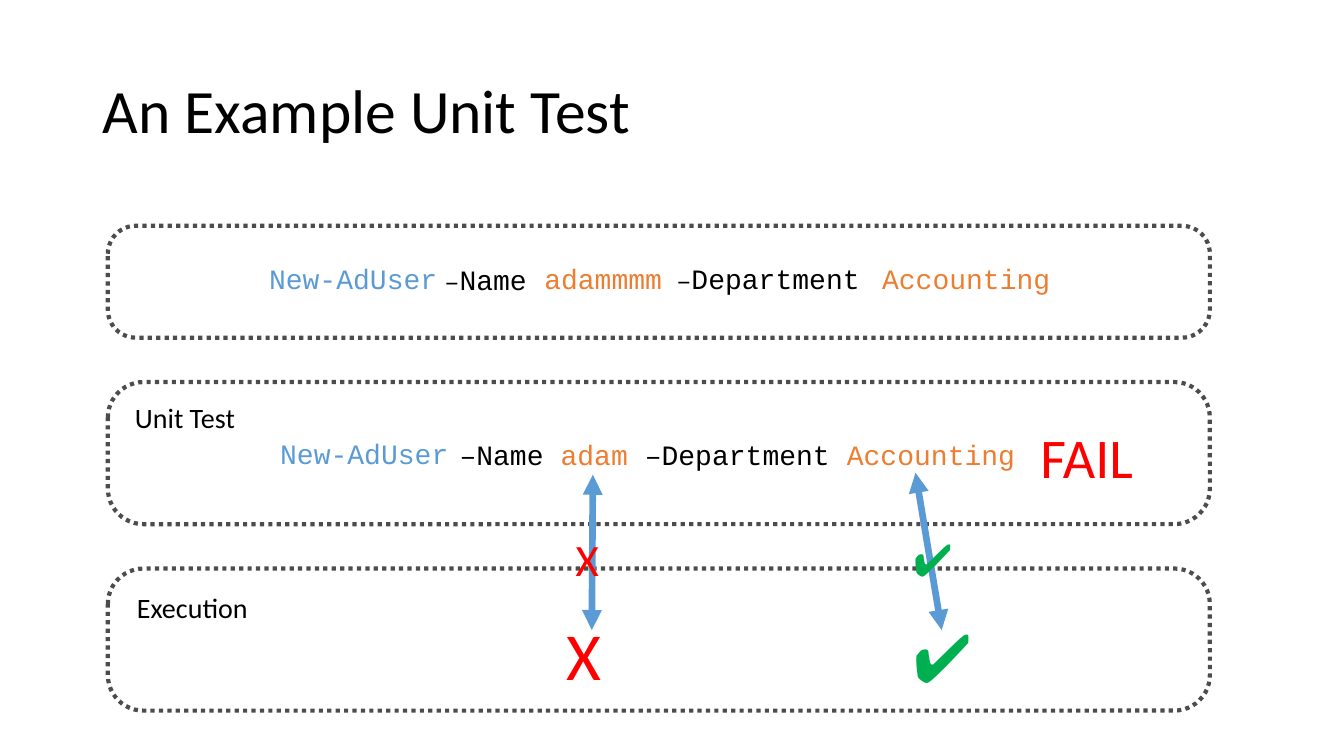
from lxml import etree
from pptx import Presentation
from pptx.dml.color import RGBColor
from pptx.enum.dml import MSO_LINE_DASH_STYLE as Dash
from pptx.enum.shapes import MSO_CONNECTOR as Connector, MSO_SHAPE as Shape
from pptx.enum.text import MSO_ANCHOR as Anchor, MSO_AUTO_SIZE as AutoSize, PP_ALIGN as Align
from pptx.oxml.ns import qn
from pptx.util import Pt

PX = 9144
BODY, CODE = "Calibri", "Courier New"
BLACK, RED, GREEN, BLUE, ORANGE = "000000", "FF0000", "00B050", "5B9BD5", "ED7D31"

TITLE = ("An Example Unit Test", (92, 40, 1150, 145))
FRAME_LEFT, FRAME_WIDTH = 107, 1093
FRAMES = [(224, 111), (564, 141), (379, 141)]
ARROWS = [((588, 471), (587, 625)), ((908, 469), (934, 625))]

# Each label: box, font name, runs of (text, size, colour)
LABELS = [
    ((126, 581, 160, 44), BODY, [("Execution", 20, BLACK)]),
    ((1022, 414, 149, 77), BODY, [("FAIL", 40, RED)]),
    ((896, 606, 88, 91), BODY, [("✔", 48, GREEN)]),
    ((552, 604, 69, 91), BODY, [("X", 48, RED)]),
    ((124, 392, 144, 44), BODY, [("Unit Test", 20, BLACK)]),
]
COMMAND = [
    ((257, 255, 188, 44), CODE, [("New-AdUser", 20, BLUE)]),
    ((661, 255, 204, 44), CODE, [("–", 18, BLACK), ("Department", 20, BLACK)]),
    ((865, 255, 188, 44), CODE, [("Accounting", 20, ORANGE)]),
    ((530, 255, 138, 44), CODE, [("adammmm", 20, ORANGE)]),
    ((431, 256, 103, 44), CODE, [("–", 18, BLACK), ("Name", 20, BLACK)]),
]
EXPECTED = [
    ((268, 428, 188, 44), CODE, [("New-AdUser", 20, BLUE)]),
    ((446, 429, 576, 44), CODE, [("–Name ", 20, BLACK), ("adam ", 20, ORANGE),
                                 ("–Department ", 20, BLACK), ("Accounting", 20, ORANGE)]),
]
MARKS = [
    ((561, 523, 53, 64), BODY, [("X", 32, RED)]),
    ((896, 523, 65, 64), BODY, [("✔", 32, GREEN)]),
]


def color(value):
    """Turn a hex string into a colour."""
    return RGBColor.from_string(value)


def scale(lengths):
    """Turn px lengths into EMU."""
    return [length * PX for length in lengths]


def set_all(target, values):
    """Set attributes of an object from a dict."""
    for name, value in values.items():
        setattr(target, name, value)


def add_run(paragraph, text, font_name, size, value):
    """Add one formatted run."""
    run = paragraph.add_run()
    run.text = text
    set_all(run.font, {"name": font_name, "size": Pt(size)})
    run.font.color.rgb = color(value)


def add_labels(shapes, labels):
    """Add text boxes to a slide or a group."""
    for box, font_name, runs in labels:
        frame = shapes.add_textbox(*scale(box)).text_frame
        set_all(frame, {"word_wrap": False, "auto_size": AutoSize.SHAPE_TO_FIT_TEXT})
        for text, size, value in runs:
            add_run(frame.paragraphs[0], text, font_name, size, value)


def add_title(slide):
    """Place and format the title placeholder."""
    text, box = TITLE
    title = slide.shapes.title
    set_all(title, dict(zip(("left", "top", "width", "height"), scale(box))))
    set_all(title.text_frame, {"vertical_anchor": Anchor.MIDDLE, "word_wrap": True,
                               "auto_size": AutoSize.NONE})
    paragraph = title.text_frame.paragraphs[0]
    set_all(paragraph, {"alignment": Align.LEFT, "line_spacing": 0.9})
    add_run(paragraph, text, BODY, 44, BLACK)


def add_frame(slide, top, height):
    """Add a dotted rounded frame."""
    frame = slide.shapes.add_shape(Shape.ROUNDED_RECTANGLE,
                                   *scale((FRAME_LEFT, top, FRAME_WIDTH, height)))
    frame.adjustments[0] = 0.25
    frame.shadow.inherit = False
    frame.fill.background()
    frame.line.color.rgb = color(BLACK)
    set_all(frame.line, {"width": Pt(3), "dash_style": Dash.ROUND_DOT})
    shade = frame.line.fill._xPr.find(".//" + qn("a:srgbClr"))
    etree.SubElement(shade, qn("a:alpha"), val="70000")


def add_arrow(slide, start, end):
    """Add a double-headed arrow."""
    arrow = slide.shapes.add_connector(Connector.STRAIGHT, *scale(start + end))
    arrow.line.color.rgb = color(BLUE)
    arrow.line.width = Pt(4.75)
    line = arrow.line._get_or_add_ln()
    for tag in ("a:headEnd", "a:tailEnd"):
        etree.SubElement(line, qn(tag), type="triangle")
    etree.SubElement(arrow._element.spPr, qn("a:effectLst"))


def main():
    """Build and save the slide."""
    presentation = Presentation()
    set_all(presentation, {"slide_width": 1333 * PX, "slide_height": 750 * PX})
    slide = presentation.slides.add_slide(presentation.slide_layouts[5])
    add_title(slide)
    add_labels(slide.shapes, LABELS)
    add_labels(slide.shapes.add_group_shape().shapes, COMMAND)
    for top, height in FRAMES:
        add_frame(slide, top, height)
    add_labels(slide.shapes, EXPECTED)
    for start, end in ARROWS:
        add_arrow(slide, start, end)
    add_labels(slide.shapes, MARKS)
    presentation.save("out.pptx")


if __name__ == "__main__":
    main()
